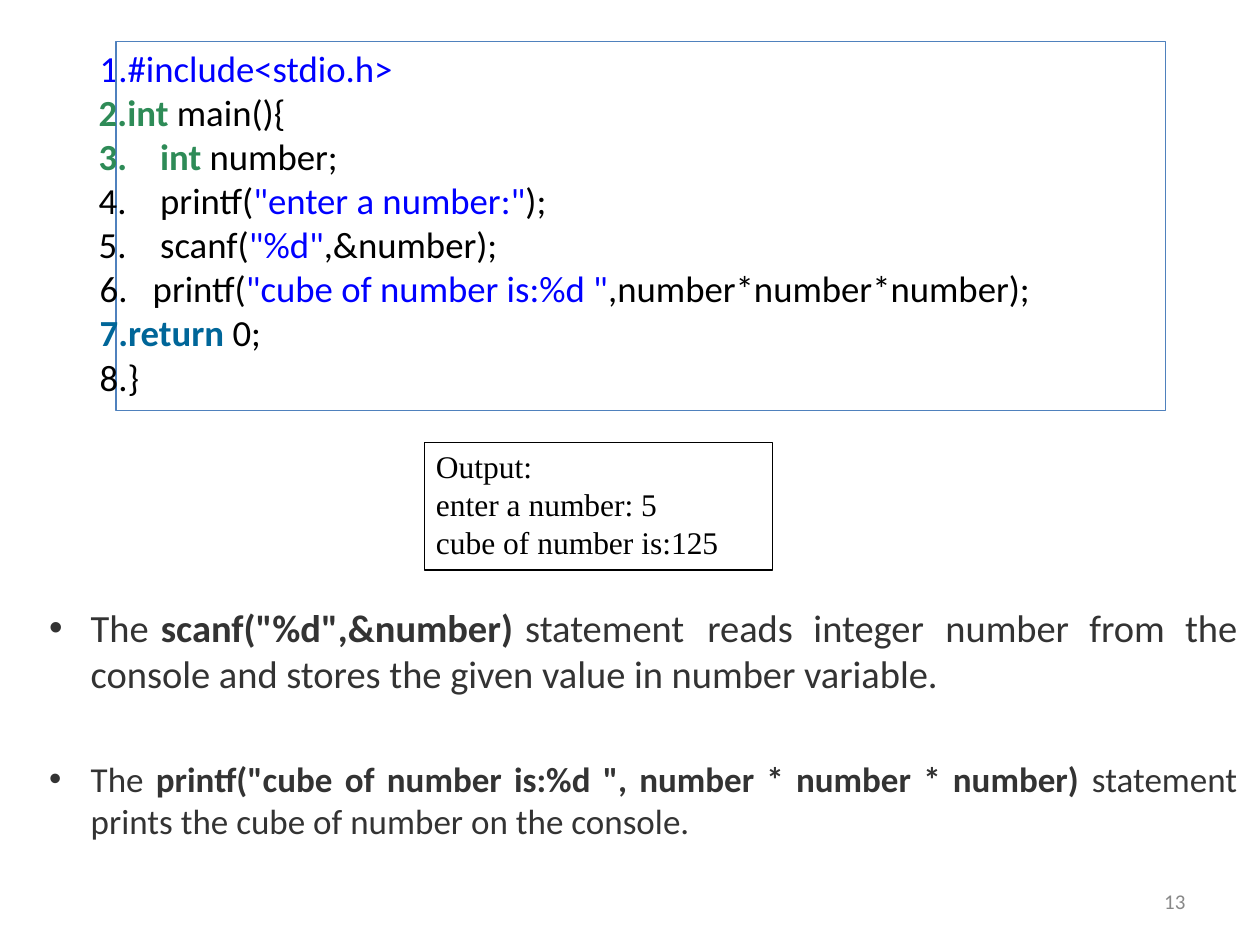
from lxml import etree
from pptx import Presentation
from pptx.dml.color import RGBColor
from pptx.enum.shapes import MSO_SHAPE
from pptx.enum.text import MSO_ANCHOR, MSO_AUTO_SIZE, PP_ALIGN
from pptx.oxml.ns import qn
from pptx.util import Cm, Pt

RECTANGLE = MSO_SHAPE.RECTANGLE
TOP = MSO_ANCHOR.TOP
NO_AUTOFIT = MSO_AUTO_SIZE.NONE
LEFT, JUSTIFY = PP_ALIGN.LEFT, PP_ALIGN.JUSTIFY

COLORS = {
    "frame": "4F81BD", "black": "000000", "string": "0000FF",
    "type": "2E8B57", "keyword": "006699", "body": "333333", "page": "888888",
}

# A paragraph is a list of runs: (text, colour, bold)
INCLUDE_LINE = [("1.#include<stdio.h>", "string", False)]

# Left margin and hanging indent in cm, then the runs; numbered from 2
CODE_LINES = [
    (0.61, 0.58, [("int ", "type", True), ("main(){", "black", False)]),
    (1.27, 1.24, [("int ", "type", True), ("number;", "black", False)]),
    (1.27, 1.24, [("printf(", "black", False), ('"enter a number:"', "string", False),
                  (");", "black", False)]),
    (1.27, 1.24, [("scanf(", "black", False), ('"%d"', "string", False),
                  (",&number);", "black", False)]),
    (1.12, 1.07, [("printf(", "black", False), ('"cube of number is:%d "', "string", False),
                  (",number*number*number);", "black", False)]),
    (0.05, 0, [("return ", "keyword", True), ("0;\v8.}", "black", False)]),
]

OUTPUT_LINES = ["Output:", "enter a number: 5", "cube of number is:125"]

# Text size, space before in pt, tab stops in cm, runs
NOTES = [
    (22, 1, [13.18, 15.32, 17.98, 20.88, 22.81], [
        ("The ", "body", False), ('scanf("%d",&number) ', "body", True),
        ("statement\treads\tinteger\tnumber\tfrom\tthe console and stores "
         "the given value in number variable.", "body", False)]),
    (20, 35, [], [
        ("The ", "body", False),
        ('printf("cube of number is:%d ", number * number * number) ', "body", True),
        ("statement prints the cube of number on the console.", "body", False)]),
]


def add_mark(props, tag, **attributes):
    return etree.SubElement(props, qn(tag), attributes)


def write(paragraph, runs, size, font="Calibri", align=LEFT, before=0, spacing=None,
          margin=0, hanging=0, bullet=None, number_from=None, tabs=()):
    """Fill one paragraph; margin, hanging and tabs are in cm, before and spacing in pt."""
    props = paragraph._p.get_or_add_pPr()
    props.set("marL", str(Cm(margin)))
    props.set("indent", str(-Cm(hanging)))
    if bullet:
        add_mark(props, "a:buFont", typeface="Arial")
        add_mark(props, "a:buChar", char=bullet)
    elif number_from:
        add_mark(props, "a:buFont", typeface=font)
        add_mark(props, "a:buAutoNum", type="arabicPeriod", startAt=str(number_from))
    else:
        add_mark(props, "a:buNone")
    if tabs:
        tab_list = add_mark(props, "a:tabLst")
        for stop in tabs:
            add_mark(tab_list, "a:tab", pos=str(Cm(stop)), algn="l")
    paragraph.alignment = align
    paragraph.space_before = Pt(before)
    if spacing:
        paragraph.line_spacing = Pt(spacing)
    for text, color, bold in runs:
        for index, part in enumerate(text.split("\v")):
            if index:
                paragraph.add_line_break()
            run = paragraph.add_run()
            run.text = part
            run.font.name = font
            run.font.size = Pt(size)
            run.font.bold = bold
            run.font.color.rgb = RGBColor.from_string(COLORS[color])


def prepare_frame(shape, top_inset=0.03):
    frame = shape.text_frame
    frame.word_wrap = True
    frame.auto_size = NO_AUTOFIT
    frame.vertical_anchor = TOP
    frame.margin_left = frame.margin_right = frame.margin_bottom = 0
    frame.margin_top = Cm(top_inset)
    return frame


def add_text_box(slide, *place):
    return prepare_frame(slide.shapes.add_textbox(*map(Cm, place)))


def add_outline(slide, color, *place):
    box = slide.shapes.add_shape(RECTANGLE, *map(Cm, place))
    box.shadow.inherit = False
    box.fill.background()
    box.line.color.rgb = RGBColor.from_string(COLORS[color])
    box.line.width = Pt(0.75)
    return box


def next_paragraph(frame, index):
    return frame.add_paragraph() if index else frame.paragraphs[0]


def main():
    deck = Presentation()
    deck.slide_width, deck.slide_height = Cm(25.4), Cm(19.05)
    slide = deck.slides.add_slide(deck.slide_layouts[5])

    notes = add_text_box(slide, 0.94, 12.14, 24, 4.85)
    for index, (size, before, tabs, runs) in enumerate(NOTES):
        write(next_paragraph(notes, index), runs, size, align=JUSTIFY, before=before,
              margin=0.89, hanging=0.84, bullet="•", tabs=tabs)

    add_outline(slide, "frame", 2.34, 0.84, 21.16, 7.44)

    title = slide.shapes.title
    title.left, title.top, title.width, title.height = map(Cm, (1.98, 0.89, 6.1, 0.97))
    write(prepare_frame(title).paragraphs[0], INCLUDE_LINE, 21, before=1, margin=0.03)

    page = add_text_box(slide, 23.37, 17.96, 0.64, 0.48)
    write(page.paragraphs[0], [("13", "page", False)], 12, spacing=12.4, margin=0.1)

    code = add_text_box(slide, 1.96, 1.78, 18.85, 6.3)
    for index, (margin, hanging, runs) in enumerate(CODE_LINES):
        write(next_paragraph(code, index), runs, 21, before=0 if index else 1,
              margin=margin, hanging=hanging, number_from=2)

    output = prepare_frame(add_outline(slide, "black", 8.56, 8.92, 7.01, 2.57), 0.1)
    for index, line in enumerate(OUTPUT_LINES):
        write(next_paragraph(output, index), [(line, "black", False)], 18,
              font="Times New Roman", before=0 if index else 3.2, margin=0.23)

    deck.save("out.pptx")


if __name__ == "__main__":
    main()
